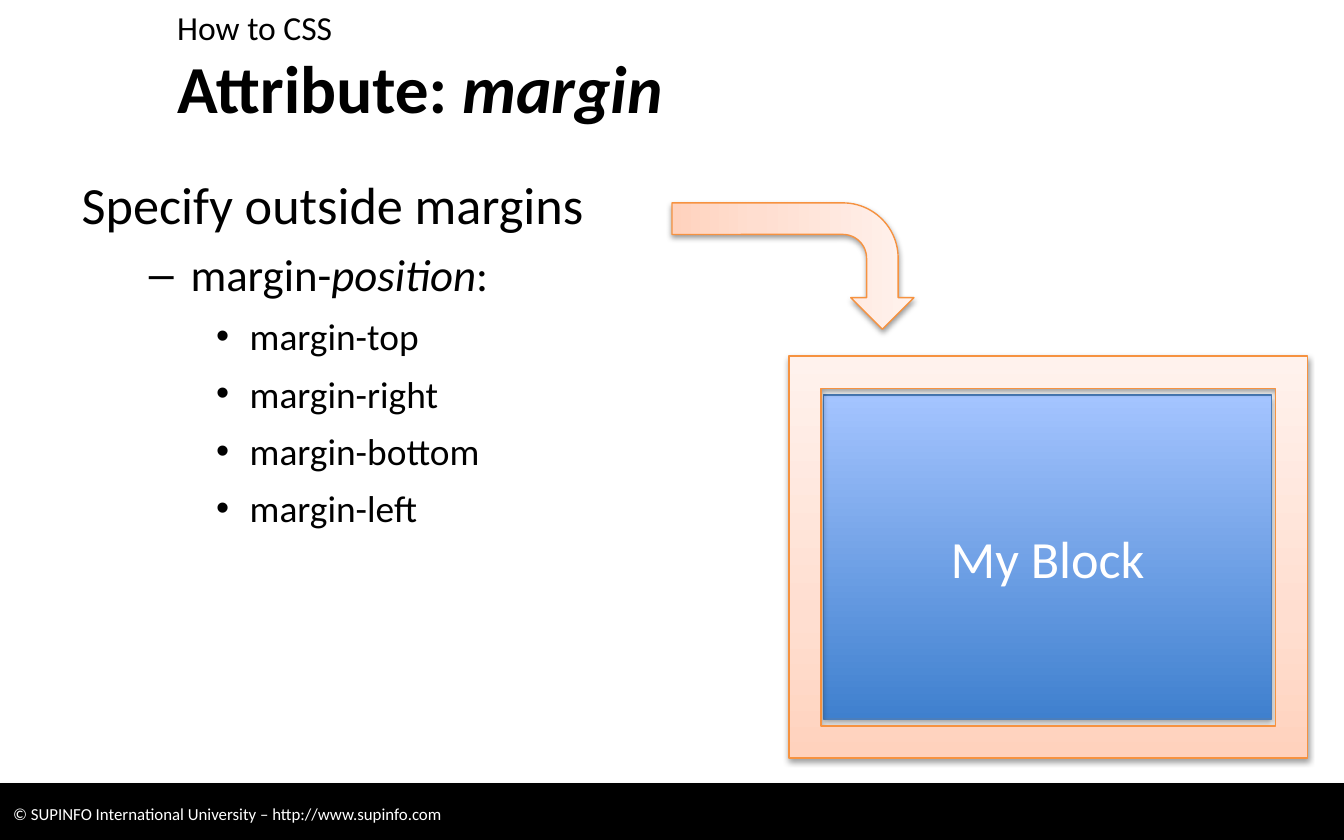
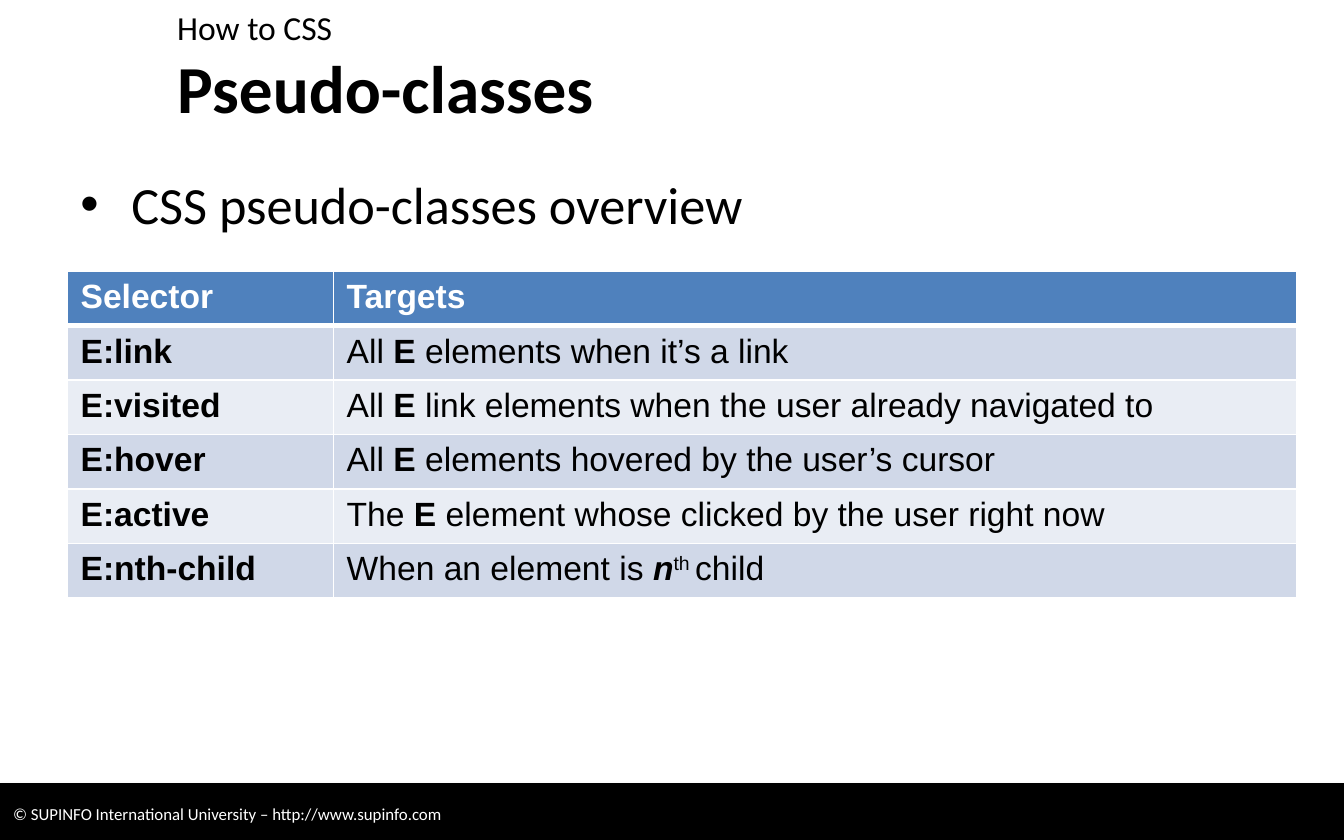
"""Builds two slides of a CSS course: the margin attribute and the pseudo-classes."""
from lxml import etree
from pptx import Presentation
from pptx.dml.color import RGBColor
from pptx.enum.shapes import MSO_SHAPE
from pptx.enum.text import MSO_ANCHOR, PP_ALIGN
from pptx.oxml.ns import qn
from pptx.util import Inches, Pt

RECTANGLE, FRAME, BENT_ARROW = MSO_SHAPE.RECTANGLE, MSO_SHAPE.FRAME, MSO_SHAPE.BENT_ARROW
TOP, MIDDLE = MSO_ANCHOR.TOP, MSO_ANCHOR.MIDDLE
LEFT, CENTER = PP_ALIGN.LEFT, PP_ALIGN.CENTER

COLUMNS, ROWS = 100, 62.5
CELL = Inches(0.1)
COLORS = {
    "black": "000000", "white": "FFFFFF", "grey": "808080",
    "blue line": "4B7EBC", "orange line": "F69240",
    "header": "4F81BD", "odd row": "D0D8E8", "even row": "E9EDF4",
}
BLUE_GRADIENT = [(0, "3F80CE"), (100, "A4C4FF")]
ORANGE_GRADIENT = [(0, "FFD2BD"), (35, "FFDED0"), (100, "FFF2ED")]
BULLETS = {
    "plain": (0, 0, 0, None),
    "point": (0, 3.8, -3.8, "•"),
    "dash": (1, 8.1, -3.1, "–"),
    "item": (2, 12.5, -2.5, "•"),
}


def grid(cells):
    return round(cells * CELL)


def add_color(parent, color, alpha=None):
    node = etree.SubElement(parent, qn("a:srgbClr"), val=color)
    if alpha:
        etree.SubElement(node, qn("a:alpha"), val=str(alpha * 1000))


class Page:
    """Holds the deck, its style and the current slide, on a grid of 0.1 inch cells."""

    def __init__(self):
        self.deck = Presentation()
        self.deck.slide_width, self.deck.slide_height = grid(COLUMNS), grid(ROWS)
        self.slide = None

    def start(self, *title):
        self.slide = self.deck.slides.add_slide(self.deck.slide_layouts[6])
        footer = self.shape(RECTANGLE, (0, 58.3, COLUMNS, 4.5), "black", "black", ("grey", 35, 1.8))
        self.label(footer, "© SUPINFO International University – http://www.supinfo.com", 9)
        return title

    def heading(self, title):
        self.text((12.2, 3.7, 85.1, 5.5), [("plain", 36, title)], MIDDLE, bold=True)
        self.text((12.2, 0, 85.1, 3.7), [("plain", 18, [("How to CSS", "")])])

    def style(self, para, size, font="Calibri", color="black", bold=None):
        para.font.name, para.font.size, para.font.bold = font, Pt(size), bold
        para.font.color.rgb = RGBColor.from_string(COLORS[color])

    def spans(self, para, parts):
        for text, marks in parts:
            span = para.add_run()
            span.text = text
            if "b" in marks:
                span.font.bold = True
            if "i" in marks:
                span.font.italic = True
            if "^" in marks:
                span._r.get_or_add_rPr().set("baseline", "30000")

    def bullet(self, para, kind):
        level, margin, indent, mark = BULLETS[kind]
        para.level = level
        if mark:
            props = para._p.get_or_add_pPr()
            props.set("marL", str(grid(margin)))
            props.set("indent", str(grid(indent)))
            etree.SubElement(props, qn("a:buFont"), typeface="Arial")
            etree.SubElement(props, qn("a:buChar"), char=mark)

    def text(self, place, paras, anchor=TOP, bold=None, columns=1):
        box = self.slide.shapes.add_textbox(*map(grid, place))
        frame = box.text_frame
        frame.word_wrap, frame.vertical_anchor = True, anchor
        if columns > 1:
            frame._txBody.bodyPr.set("numCol", str(columns))
        for index, (kind, size, parts) in enumerate(paras):
            para = frame.add_paragraph() if index else frame.paragraphs[0]
            self.bullet(para, kind)
            if index:
                para.space_before = Pt(6.7)
            self.style(para, size, bold=bold)
            self.spans(para, parts)

    def shape(self, kind, place, fill, line, shadow):
        shape = self.slide.shapes.add_shape(kind, *map(grid, place))
        if isinstance(fill, str):
            shape.fill.solid()
            shape.fill.fore_color.rgb = RGBColor.from_string(COLORS[fill])
        else:
            self.gradient(shape, fill)
        shape.line.color.rgb = RGBColor.from_string(COLORS[line])
        shape.line.width = Pt(0.75)
        self.shadow(shape, *shadow)
        return shape

    def gradient(self, shape, stops):
        shape.fill.gradient()
        shape.fill.gradient_angle = 90
        stop_list = shape._element.spPr.find(qn("a:gradFill")).find(qn("a:gsLst"))
        for stop in list(stop_list):
            stop_list.remove(stop)
        for position, color in stops:
            add_color(etree.SubElement(stop_list, qn("a:gs"), pos=str(position * 1000)), color)

    def shadow(self, shape, color, alpha, distance):
        shape.shadow.inherit = False
        effects = shape._element.spPr.find(qn("a:effectLst"))
        outer = etree.SubElement(effects, qn("a:outerShdw"), blurRad=str(Pt(3.1)),
                                 dist=str(Pt(distance)), dir="5400000", rotWithShape="0")
        add_color(outer, COLORS[color], alpha)

    def label(self, shape, text, size, align=LEFT):
        shape.text_frame.word_wrap, shape.text_frame.vertical_anchor = True, MIDDLE
        para = shape.text_frame.paragraphs[0]
        para.alignment = align
        self.style(para, size, color="white")
        self.spans(para, [(text, "")])

    def table(self, place, widths, rows):
        table = self.slide.shapes.add_table(len(rows), len(widths), *map(grid, place)).table
        table.horz_banding = False
        for column, width in zip(table.columns, widths):
            column.width = grid(width)
        for row, entries in enumerate(rows):
            header = row == 0
            fill = "header" if header else "odd row" if row % 2 else "even row"
            for column, parts in enumerate(entries):
                cell = table.cell(row, column)
                self.borders(cell, top=3 if row == 1 else 1, bottom=3 if header else 1)
                cell.fill.solid()
                cell.fill.fore_color.rgb = RGBColor.from_string(COLORS[fill])
                para = cell.text_frame.paragraphs[0]
                self.style(para, 18, "Arial", "white" if header else "black", header or column == 0)
                self.spans(para, parts)

    def borders(self, cell, top, bottom):
        props = cell._tc.get_or_add_tcPr()
        for side, width in (("L", 1), ("R", 1), ("T", top), ("B", bottom)):
            line = etree.SubElement(props, qn(f"a:ln{side}"), w=str(Pt(width)))
            add_color(etree.SubElement(line, qn("a:solidFill")), COLORS["white"])


def margin_slide(page):
    title = page.start(("Attribute: ", ""), ("margin", "i"))
    block = page.shape(RECTANGLE, (61.3, 29.4, 33.3, 24.1), BLUE_GRADIENT, "blue line",
                       ("black", 35, 1.8))
    page.label(block, "My Block", 28, CENTER)
    page.heading(title)
    sides = [("item", 20, [(f"margin-{side}", "")]) for side in ("top", "right", "bottom", "left")]
    page.text((5.1, 12.3, 90.6, 46.3), [
        ("plain", 28, [("Specify outside margins", "")]),
        ("dash", 24, [("margin-", ""), ("position", "i"), (":", "")]),
        *sides,
    ], columns=2)
    orange = (ORANGE_GRADIENT, "orange line", ("black", 38, 1.6))
    arrow = page.shape(BENT_ARROW, (54.3, 10.8, 9.4, 18), *orange)
    arrow.rotation = 90
    margin = page.shape(FRAME, (58.7, 26.5, 38.6, 29.9), *orange)
    margin.adjustments[0] = 0.08


def pseudo_class_slide(page):
    page.heading(page.start(("Pseudo-classes", "")))
    page.text((5, 12.3, 92.3, 46.3), [("point", 28, [("CSS pseudo-classes overview", "")])])
    targets = [
        ("link", "All ", "elements when it’s a link"),
        ("visited", "All ", "link elements when the user already navigated to"),
        ("hover", "All ", "elements hovered by the user’s cursor"),
        ("active", "The ", "element whose clicked by the user right now"),
    ]
    rows = [([("Selector", "")], [("Targets", "")])]
    rows += [([(f"E:{name}", "")], [(opening, ""), ("E ", "b"), (rest, "")])
             for name, opening, rest in targets]
    rows.append(([("E:nth-child", "")],
                 [("When an element is ", ""), ("n", "bi"), ("th ", "^"), ("child", "")]))
    page.table((5, 20.2, 91.5, 24.3), (19.8, 71.7), rows)


def main():
    page = Page()
    margin_slide(page)
    pseudo_class_slide(page)
    page.deck.save("out.pptx")


if __name__ == "__main__":
    main()
